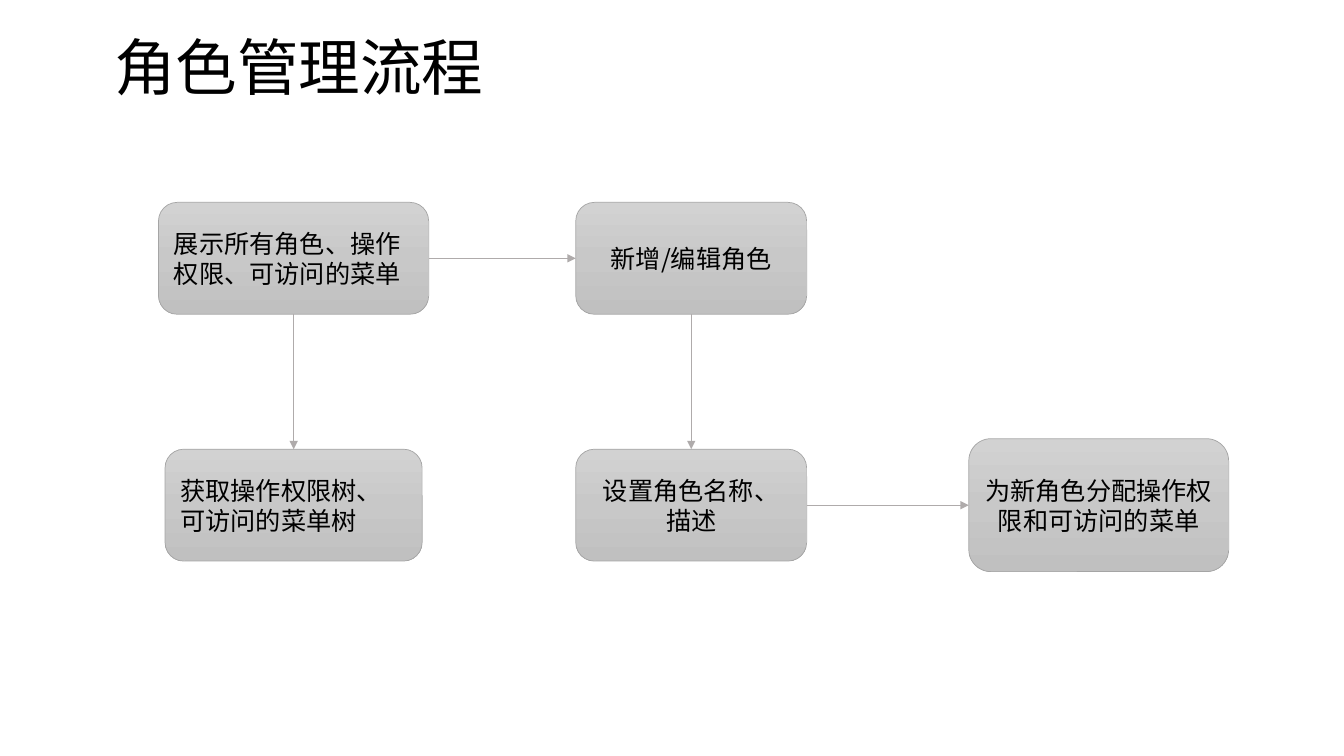
"""Build the role management flow slide."""
from copy import deepcopy

from lxml import etree
from pptx import Presentation
from pptx.dml.color import RGBColor
from pptx.enum.shapes import MSO_CONNECTOR, MSO_SHAPE
from pptx.enum.text import MSO_ANCHOR, PP_ALIGN
from pptx.oxml.ns import qn
from pptx.util import Cm, Pt

ROUND = MSO_SHAPE.ROUNDED_RECTANGLE
STRAIGHT = MSO_CONNECTOR.STRAIGHT
MIDDLE = MSO_ANCHOR.MIDDLE
LEFT, CENTER = PP_ALIGN.LEFT, PP_ALIGN.CENTER
FONT = "Noto Sans CJK SC"
BLACK = RGBColor(0x00, 0x00, 0x00)
LIGHT = RGBColor(0xD2, 0xD2, 0xD2)
MID = RGBColor(0xC8, 0xC8, 0xC8)
DARK = RGBColor(0xC0, 0xC0, 0xC0)
EDGE = RGBColor(0xA5, 0xA5, 0xA5)
ARROW = RGBColor(0xAF, 0xAB, 0xAB)


def write(frame, text, size, align):
    frame.text = text
    frame.word_wrap = True
    frame.vertical_anchor = MIDDLE
    for para in frame.paragraphs:
        para.alignment = align
        for run in para.runs:
            run.font.size = Pt(size)
            run.font.color.rgb = BLACK
            run.font.name = FONT
            latin = run.font._element.find(qn("a:latin"))
            east = etree.Element(qn("a:ea"), typeface=FONT)
            latin.addnext(east)


deck = Presentation()
deck.slide_width, deck.slide_height = Cm(33.87), Cm(19.05)
slide = deck.slides.add_slide(deck.slide_layouts[5])
shapes = slide.shapes

title = shapes.title
title.left, title.top = Cm(2.62), Cm(0.76)
title.width, title.height = Cm(29.21), Cm(2.06)
write(title.text_frame, "角色管理流程", 44, LEFT)
title.text_frame.paragraphs[0].line_spacing = 0.9

COLS = [7.4, 17.42, 27.69]
ROWS = [6.51, 12.73]
STEPS = {
    "show": (0, 0, 6.81, 2.82, LEFT, "展示所有角色、操作权限、可访问的菜单"),
    "edit": (1, 0, 5.82, 2.82, CENTER, "新增/编辑角色"),
    "name": (1, 1, 5.82, 2.82, CENTER, "设置角色名称、描述"),
    "tree": (0, 1, 6.48, 2.82, LEFT, "获取操作权限树、\n可访问的菜单树"),
    "grant": (2, 1, 6.55, 3.35, CENTER, "为新角色分配操作权限和可访问的菜单"),
}
boxes = {}
for key, (col, row, width, height, align, text) in STEPS.items():
    box = shapes.add_shape(ROUND, Cm(COLS[col] - width / 2),
                           Cm(ROWS[row] - height / 2), Cm(width), Cm(height))
    box.shadow.inherit = False
    box.fill.gradient()
    box.fill.gradient_angle = 270
    first = box.fill._xPr.find(".//" + qn("a:gs"))
    first.addnext(deepcopy(first))
    stops = zip(box.fill.gradient_stops, (0, 0.5, 1), (LIGHT, MID, DARK))
    for stop, place, color in stops:
        stop.position = place
        stop.color.rgb = color
    box.line.color.rgb = EDGE
    box.line.width = Pt(0.5)
    write(box.text_frame, text, 18, align)
    boxes[key] = box

TOP, WEST, BOTTOM, EAST = range(4)
LINKS = [
    ("show", EAST, "edit", WEST),
    ("edit", BOTTOM, "name", TOP),
    ("show", BOTTOM, "tree", TOP),
    ("name", EAST, "grant", WEST),
]
for start, out, end, into in LINKS:
    link = shapes.add_connector(STRAIGHT, 0, 0, 0, 0)
    link.begin_connect(boxes[start], out)
    link.end_connect(boxes[end], into)
    link.line.color.rgb = ARROW
    link.line.width = Pt(0.5)
    etree.SubElement(link.line._get_or_add_ln(), qn("a:tailEnd"), type="triangle")
    etree.SubElement(link._element.spPr, qn("a:effectLst"))

deck.save("out.pptx")
